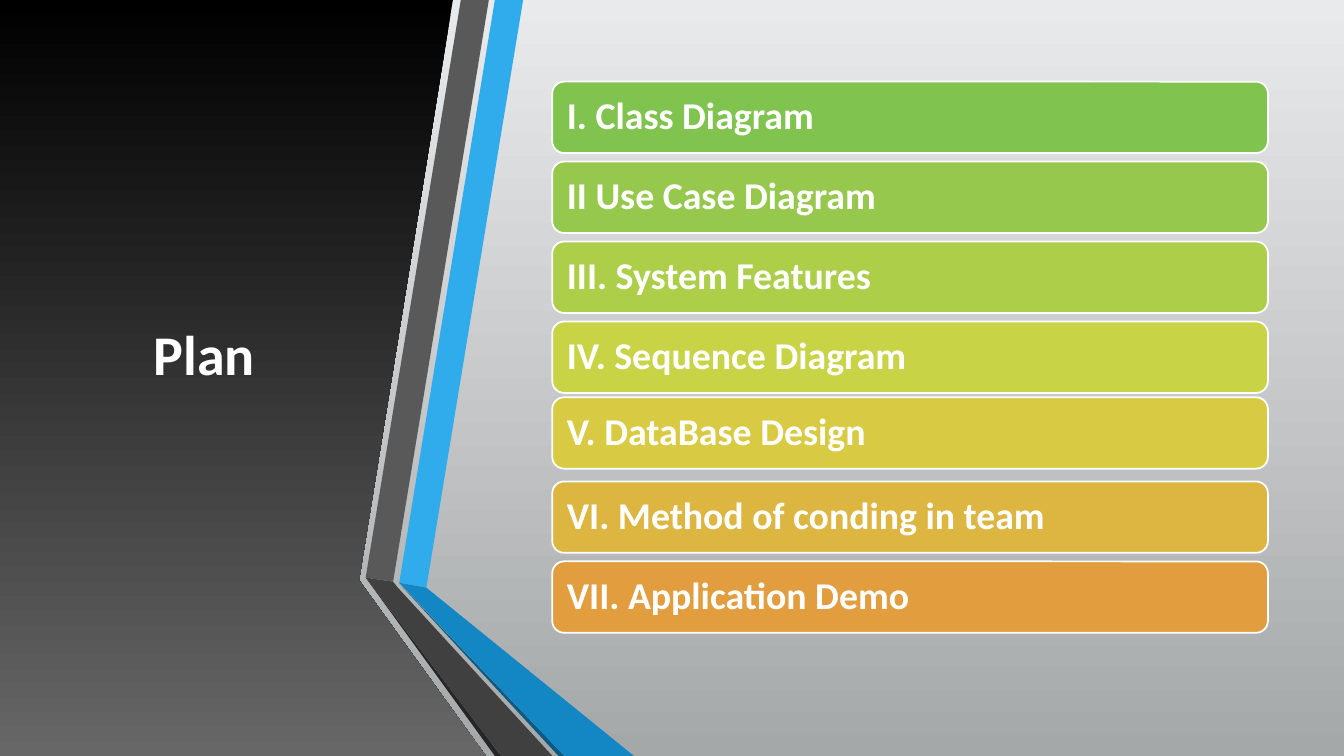
from pptx import Presentation
from pptx.dml.color import RGBColor
from pptx.enum.shapes import MSO_SHAPE
from pptx.enum.text import MSO_ANCHOR, PP_ALIGN
from pptx.util import Pt

ROUNDED_RECTANGLE = MSO_SHAPE.ROUNDED_RECTANGLE
MIDDLE = MSO_ANCHOR.MIDDLE
LEFT, CENTER = PP_ALIGN.LEFT, PP_ALIGN.CENTER

WIDTH, HEIGHT = 960, 540
FONT = "Calibri"
BLANK_LAYOUT = 6

WHITE = RGBColor(0xFF, 0xFF, 0xFF)
BLACK = RGBColor(0x00, 0x00, 0x00)
PANEL_GREY = RGBColor(0x67, 0x67, 0x67)
BACKGROUND_TOP = RGBColor(0xE9, 0xEA, 0xEB)
BACKGROUND_BOTTOM = RGBColor(0xA5, 0xA8, 0xA9)
BLUE = RGBColor(0x30, 0xAC, 0xEC)
BLUE_FOLD = RGBColor(0x12, 0x87, 0xC3)
BLUE_SHADE = RGBColor(0x0C, 0x5A, 0x82)
GREY = RGBColor(0x59, 0x59, 0x59)
GREY_FOLD = RGBColor(0x40, 0x40, 0x40)
GREY_SHADE = RGBColor(0x26, 0x26, 0x26)

PANEL_OUTLINE = [(0, 0), (323.5, 0), (256.5, 414.5), (347, 540), (0, 540)]

# Ribbon outlines, relative to the left end of the fold, back to front
RIBBONS = [
    (BLUE, [(24, 416.3), (43.4, 419.8), (112.5, 0), (92.3, 0)]),
    (GREY, [(88, 0), (68, 0), (0, 412.6), (19.6, 415.5)]),
    (GREY_SHADE, [(0, 412.6), (92.3, 540), (96.7, 540)]),
    (BLUE_SHADE, [(24, 416.8), (137.7, 540), (142, 540)]),
    (BLUE_FOLD, [(24, 416.3), (142, 540), (191.7, 540), (43.4, 419.8)]),
    (GREY_FOLD, [(133.4, 540), (23, 419.8), (19.6, 415.5), (0, 412.6), (96.7, 540)]),
]

# Text, colour and vertical shift from the even spacing
PLAN_ITEMS = [
    ("I. Class Diagram", RGBColor(0x80, 0xC3, 0x4F), 0),
    ("II Use Case Diagram", RGBColor(0x95, 0xC8, 0x4C), 0),
    ("III. System Features", RGBColor(0xAD, 0xCE, 0x49), 0),
    ("IV. Sequence Diagram", RGBColor(0xC8, 0xD3, 0x46), 0),
    ("V. DataBase Design", RGBColor(0xD8, 0xCB, 0x43), -3),
    ("VI. Method of conding in team", RGBColor(0xDD, 0xB5, 0x41), 0),
    ("VII. Application Demo", RGBColor(0xE2, 0x9D, 0x3E), 0),
]


def fill_top_to_bottom(fill, top_color, bottom_color):
    fill.gradient()
    fill.gradient_angle = 270
    for stop, position, color in zip(fill.gradient_stops, (0, 1), (top_color, bottom_color)):
        stop.position = position
        stop.color.rgb = color


def add_polygon(slide, left, top, points):
    corners = [(Pt(left + x), Pt(top + y)) for x, y in points]
    builder = slide.shapes.build_freeform(*corners[0])
    builder.add_line_segments(corners[1:], close=True)
    shape = builder.convert_to_shape()
    shape.shadow.inherit = False
    shape.line.fill.background()
    return shape


def write_text(shape, text, size, alignment, inset):
    frame = shape.text_frame
    frame.word_wrap = True
    frame.vertical_anchor = MIDDLE
    frame.margin_left = frame.margin_right = Pt(inset)
    frame.margin_top = frame.margin_bottom = Pt(inset)
    paragraph = frame.paragraphs[0]
    paragraph.text = text
    paragraph.alignment = alignment
    paragraph.line_spacing = 0.9
    paragraph.font.name = FONT
    paragraph.font.size = Pt(size)
    paragraph.font.bold = True
    paragraph.font.color.rgb = WHITE


def add_title_panel(slide, left, top):
    panel = add_polygon(slide, left, top, PANEL_OUTLINE)
    fill_top_to_bottom(panel.fill, BLACK, PANEL_GREY)
    title = slide.shapes.add_textbox(Pt(left + 42), Pt(top + 54), Pt(208), Pt(402))
    write_text(title, "Plan", 40, CENTER, 4)


def add_ribbons(slide, left, top):
    for color, points in RIBBONS:
        ribbon = add_polygon(slide, left, top, points)
        ribbon.fill.solid()
        ribbon.fill.fore_color.rgb = color


def add_plan_list(slide, left, top, width, height):
    bar_height = 51
    pitch = (height - bar_height) / (len(PLAN_ITEMS) - 1)
    for index, (text, color, shift) in enumerate(PLAN_ITEMS):
        bar_top = top + index * pitch + shift
        bar = slide.shapes.add_shape(
            ROUNDED_RECTANGLE, Pt(left), Pt(bar_top), Pt(width), Pt(bar_height))
        bar.shadow.inherit = False
        bar.fill.solid()
        bar.fill.fore_color.rgb = color
        bar.line.color.rgb = WHITE
        bar.line.width = Pt(1.25)
        write_text(bar, text, 27, LEFT, 8)


def main():
    presentation = Presentation()
    presentation.slide_width = Pt(WIDTH)
    presentation.slide_height = Pt(HEIGHT)
    slide = presentation.slides.add_slide(presentation.slide_layouts[BLANK_LAYOUT])
    fill_top_to_bottom(slide.background.fill, BACKGROUND_TOP, BACKGROUND_BOTTOM)
    add_title_panel(slide, 0, 0)
    add_ribbons(slide, 261.2, 0)
    add_plan_list(slide, 394.5, 58.3, 511.2, 393.7)
    presentation.save("out.pptx")


if __name__ == "__main__":
    main()
